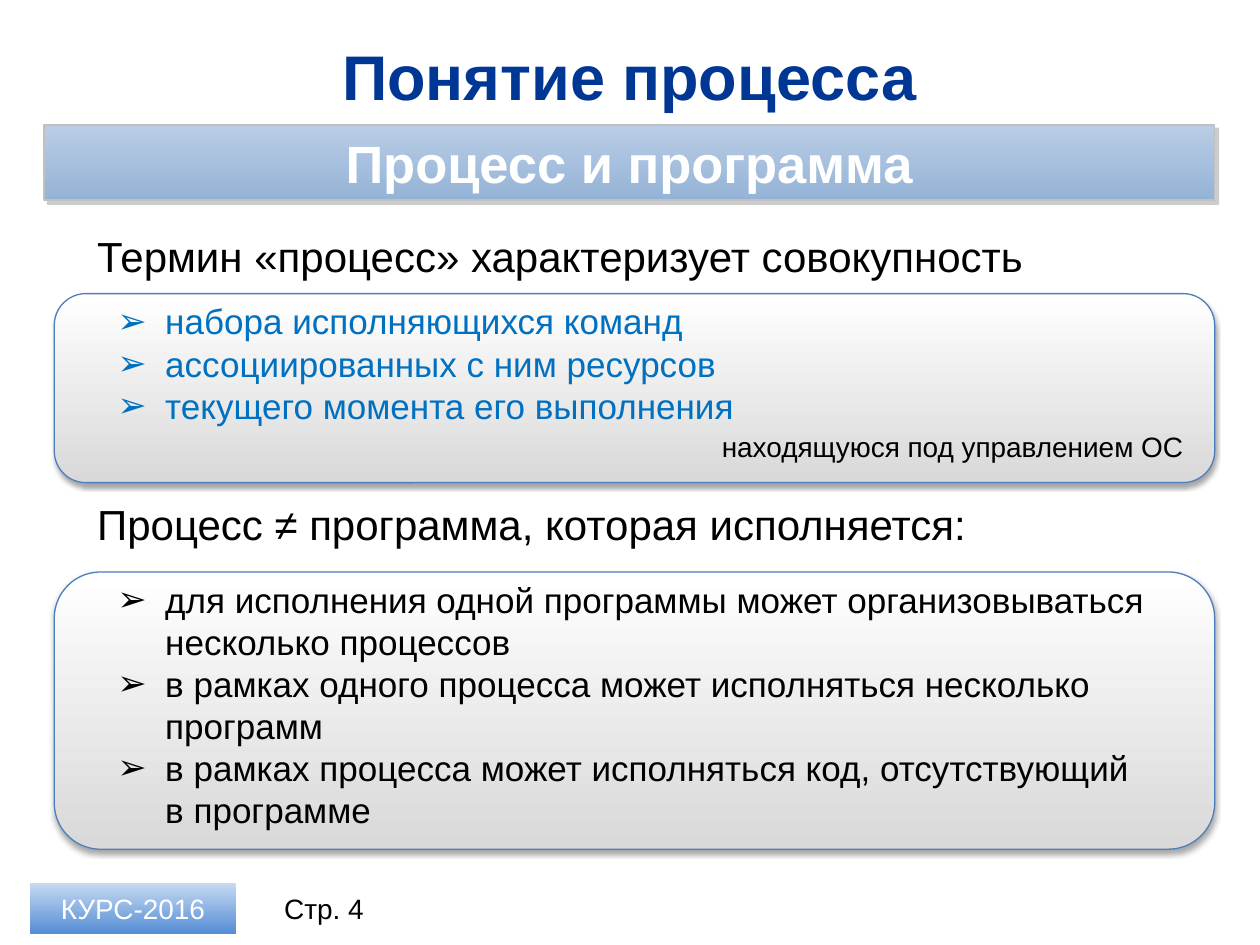
from dataclasses import dataclass

from lxml.etree import SubElement
from pptx import Presentation
from pptx.dml.color import RGBColor
from pptx.enum.shapes import MSO_SHAPE as Preset
from pptx.enum.text import MSO_ANCHOR as Anchor, MSO_AUTO_SIZE as AutoSize, PP_ALIGN as Align
from pptx.oxml.ns import qn
from pptx.util import Pt


@dataclass(frozen=True)
class Theme:
    font: str = "Arial"
    title: str = "003794"
    text: str = "000000"
    accent: str = "0070C0"
    light: str = "FFFFFF"
    panel: tuple = ("FFFFFF", "D9D9D9")
    panel_line: str = "4B7EBC"
    band: tuple = ("B9CDE5", "95B3D7")
    band_line: str = "C0C0C0"
    badge: tuple = ("C6D9F1", "558ED5")
    title_size: int = 36
    band_size: int = 30
    heading_size: int = 24
    list_size: int = 20
    small_size: int = 16


THEME = Theme()
# Shadows: colour, opacity %, blur and distance in points, direction in degrees
PANEL_SHADOW = ("000000", 35, 3.1, 1.8, 90)
BAND_SHADOW = ("808080", 40, 0, 3, 45)
INDENT = 27.4


def place(shape, box):
    for name, value in zip(("left", "top", "width", "height"), box):
        setattr(shape, name, Pt(value))


def write(shape, lines, size, color, bold=False, align=Align.LEFT, anchor=Anchor.TOP):
    frame = shape.text_frame
    frame_format = {"word_wrap": True, "auto_size": AutoSize.NONE, "vertical_anchor": anchor}
    for name, value in frame_format.items():
        setattr(frame, name, value)
    frame.text = "\n".join(lines)
    para_format = {"alignment": align, "space_before": Pt(0), "space_after": Pt(0)}
    font_format = {"name": THEME.font, "size": Pt(size), "bold": bold}
    for para in frame.paragraphs:
        for name, value in para_format.items():
            setattr(para, name, value)
        for span in para.runs:
            for name, value in font_format.items():
                setattr(span.font, name, value)
            span.font.color.rgb = RGBColor.from_string(color)


def add_bullets(frame):
    for para in frame.paragraphs:
        props = para._p.get_or_add_pPr()
        props.set("marL", str(Pt(INDENT)))
        props.set("indent", str(-Pt(INDENT)))
        SubElement(props, qn("a:buFont"), typeface=THEME.font)
        SubElement(props, qn("a:buChar"), char="➢")


def add_shadow(shape, color, opacity, blur, distance, direction):
    effects = shape.element.spPr.find(qn("a:effectLst"))
    outer = SubElement(effects, qn("a:outerShdw"), blurRad=str(Pt(blur)),
                       dist=str(Pt(distance)), dir=str(direction * 60000),
                       algn="ctr", rotWithShape="0")
    tone = SubElement(outer, qn("a:srgbClr"), val=color)
    SubElement(tone, qn("a:alpha"), val=str(opacity * 1000))


def add_block(page, preset, box, colors, line=None, line_width=1, shadow=None):
    """Shape with a top-to-bottom gradient."""
    shape = page.shapes.add_shape(preset, *map(Pt, box))
    shape.shadow.inherit = False
    shape.fill.gradient()
    shape.fill.gradient_angle = 270
    for stop, color in zip(shape.fill.gradient_stops, colors):
        stop.color.rgb = RGBColor.from_string(color)
    if line:
        shape.line.color.rgb = RGBColor.from_string(line)
        shape.line.width = Pt(line_width)
    else:
        shape.line.fill.background()
    if shadow:
        add_shadow(shape, *shadow)
    return shape


def build_header(page, box, title, subtitle):
    left, top, width, height = box
    # Title
    place(page.shapes.title, (left, top, width, 49))
    write(page.shapes.title, [title], THEME.title_size, THEME.title, True,
          Align.CENTER, Anchor.MIDDLE)
    # Subtitle band along the bottom edge
    band = add_block(page, Preset.RECTANGLE, (left, top + height - 43.2, width, 43.2),
                     THEME.band, THEME.band_line, 1, BAND_SHADOW)
    write(band, [subtitle], THEME.band_size, THEME.light, True, Align.CENTER, Anchor.MIDDLE)


def build_section(page, box, holders, heading, items, color, gap):
    """Heading above a rounded panel that holds a bulleted list."""
    left, top, width, height = box
    heading_holder, list_holder = holders
    # Panel, sent behind the placeholders
    panel = add_block(page, Preset.ROUNDED_RECTANGLE, box, THEME.panel,
                      THEME.panel_line, 0.75, PANEL_SHADOW)
    panel.element.getparent().insert(2, panel.element)
    # Heading
    place(heading_holder, (left + 17.3, top - gap, width - 45.4, 36))
    write(heading_holder, [heading], THEME.heading_size, THEME.text)
    # List
    place(list_holder, (left + 28.8, top, width - 61.8, height - 6))
    write(list_holder, items, THEME.list_size, color)
    add_bullets(list_holder.text_frame)


def build_note(page, box, text):
    note = page.shapes.add_textbox(*map(Pt, box))
    write(note, [text], THEME.small_size, THEME.text)


def build_footer(page, box, label, number):
    left, top, width, height = box
    badge = add_block(page, Preset.RECTANGLE, (left, top, 117.4, height), THEME.badge)
    counter = page.shapes.add_textbox(*map(Pt, (left + width - 77.8, top, 77.8, height)))
    for shape, text, color in ((badge, label, THEME.light), (counter, number, THEME.text)):
        write(shape, [text], THEME.small_size, color, False, Align.CENTER, Anchor.MIDDLE)


def main():
    deck = Presentation()
    deck.slide_width, deck.slide_height = Pt(720), Pt(540)
    # The comparison layout offers a title and two heading-and-list pairs
    page = deck.slides.add_slide(deck.slide_layouts[4])
    holders = list(page.placeholders)[1:]

    build_header(page, (25.2, 18.7, 668.9, 95.8), "Понятие процесса", "Процесс и программа")
    build_section(page, (31, 167.8, 663.1, 108), holders[:2],
                  "Термин «процесс» характеризует совокупность",
                  ["набора исполняющихся команд",
                   "ассоциированных с ним ресурсов",
                   "текущего момента его выполнения"], THEME.accent, 39.6)
    build_note(page, (405.4, 241.9, 285, 26.6), "находящуюся под управлением ОС")
    build_section(page, (31, 326.9, 663.1, 158.4), holders[2:],
                  "Процесс ≠ программа, которая исполняется:",
                  ["для исполнения одной программы может организовываться несколько процессов",
                   "в рамках одного процесса может исполняться несколько программ",
                   "в рамках процесса может исполняться код, отсутствующий в программе"],
                  THEME.text, 45.4)
    build_footer(page, (17.3, 504.7, 206.7, 28.8), "КУРС-2016", "Стр. 4")
    deck.save("out.pptx")


if __name__ == "__main__":
    main()
